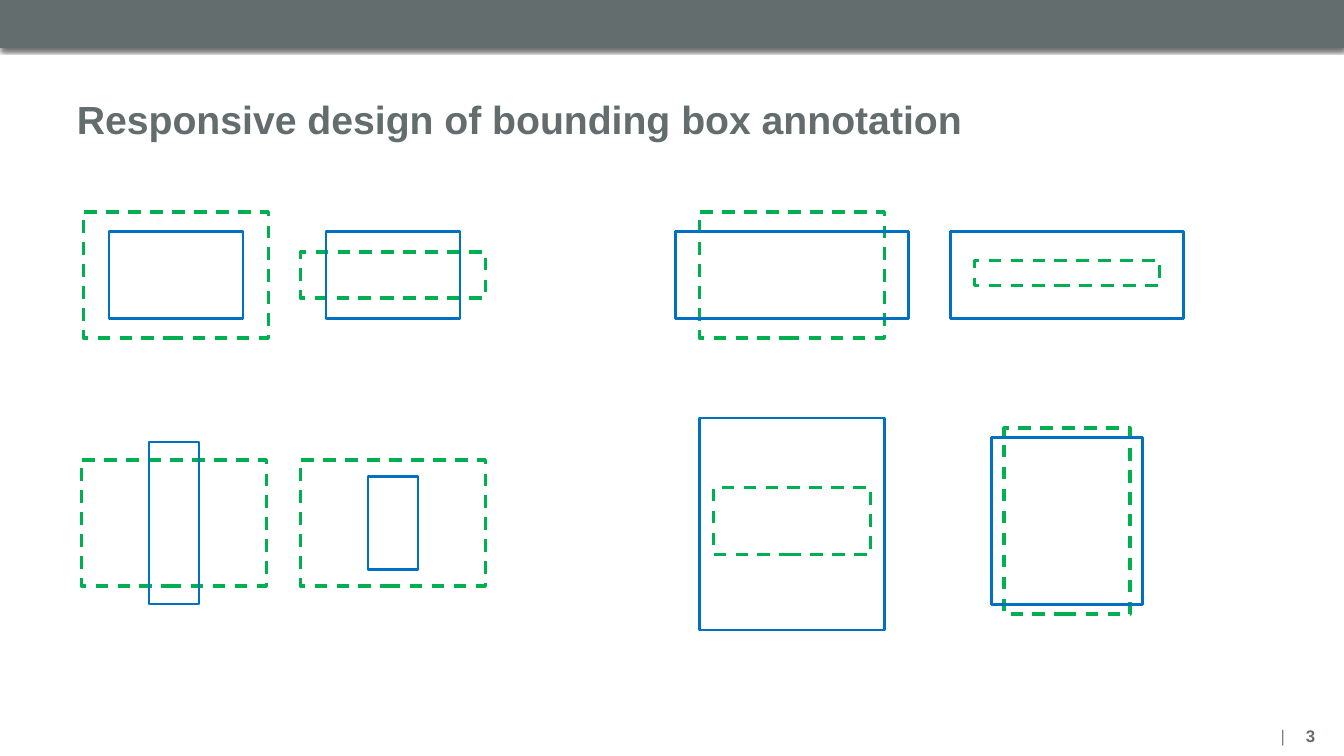
from lxml import etree
from pptx import Presentation, util as u
from pptx.dml.color import RGBColor
from pptx.enum import dml, shapes, text
from pptx.oxml import ns

SCALE = 914400 / 100.8
WIDTH, HEIGHT = 1344, 756
COLORS = {"slate": "636D6E", "grey": "808080", "green": "00B050",
          "blue": "0070C0", "black": "000000"}

# centre, guide size, annotation size, rise of the guide above the centre
PAIRS = [
    ((176, 275), (185, 126), (134, 87), 0),
    ((174, 523), (185, 126), (50, 162), 0),
    ((393, 523), (185, 126), (50, 93), 0),
    ((393, 275), (185, 46), (134, 87), 0),
    ((792, 275), (185, 126), (233, 87), 0),
    ((1067, 275), (185, 25), (233, 87), 2),
    ((792, 524), (157, 67), (185, 212), 3),
    ((1067, 521), (126, 186), (151, 167), 0),
]


def emu(*pixels):
    """Turn pixel lengths into EMU."""
    return [u.Emu(round(p * SCALE)) for p in pixels]


def rgb(name):
    """Look up a colour by name."""
    return RGBColor.from_string(COLORS[name])


def add_rectangle(slide, box):
    """Add a plain rectangle without shadow."""
    rectangle = slide.shapes.add_shape(shapes.MSO_SHAPE.RECTANGLE, *emu(*box))
    rectangle.shadow.inherit = False
    return rectangle


def add_header(slide, box):
    """Add the header band: two stacked bars with a soft shadow below."""
    for _ in range(2):
        bar = add_rectangle(slide, box)
        bar.fill.solid()
        bar.fill.fore_color.rgb = rgb("slate")
        bar.line.fill.background()
        effects = bar._element.spPr.find(ns.qn("a:effectLst"))
        shadow = etree.SubElement(effects, ns.qn("a:outerShdw"), blurRad=str(u.Pt(3.1)),
                                  dist=str(u.Pt(1.8)), dir="5400000", rotWithShape="0")
        tint = etree.SubElement(shadow, ns.qn("a:srgbClr"), val=COLORS["black"])
        etree.SubElement(tint, ns.qn("a:alpha"), val="35000")


def add_label(slide, box, words, size, color, bold=False,
              align=text.PP_ALIGN.LEFT, anchor=text.MSO_ANCHOR.TOP):
    """Add one line of text in a box and return its paragraph."""
    frame = slide.shapes.add_textbox(*emu(*box)).text_frame
    frame.word_wrap = True
    frame.vertical_anchor = anchor
    line = frame.paragraphs[0]
    line.text = words
    line.alignment = align
    line.font.name, line.font.size, line.font.bold = "Arial", u.Pt(size), bold
    line.font.color.rgb = rgb(color)
    return line


def add_footer(slide, box):
    """Add the page number in the box, with a divider to its left."""
    left, top, width, height = box
    add_label(slide, box, "3", 12, "slate", True,
              text.PP_ALIGN.CENTER, text.MSO_ANCHOR.MIDDLE)
    divider = add_label(slide, (left - 306, top + 6, 324, 30), "|", 12, "grey",
                        align=text.PP_ALIGN.RIGHT)
    divider.runs[0].font._element.set("spc", "100")


def add_outline(slide, center, size, color, weight, dashed=False):
    """Add an unfilled rectangle around a centre point."""
    (x, y), (width, height) = center, size
    outline = add_rectangle(slide, (x - width / 2, y - height / 2, width, height))
    outline.fill.background()
    outline.line.color.rgb = rgb(color)
    outline.line.width = u.Pt(weight)
    if dashed:
        outline.line.dash_style = dml.MSO_LINE.DASH


def add_pair(slide, center, guide, annotation, rise):
    """Add a dashed guide and the solid annotation box over it."""
    x, y = center
    add_outline(slide, (x, y - rise), guide, "green", 2.25, dashed=True)
    add_outline(slide, center, annotation, "blue", 2)


def build():
    """Build the slide and save it."""
    deck = Presentation()
    deck.slide_width, deck.slide_height = emu(WIDTH, HEIGHT)
    slide = deck.slides.add_slide(deck.slide_layouts[6])
    add_footer(slide, (1277, 715, 67, 42))
    add_header(slide, (0, 0, WIDTH, 48))
    add_label(slide, (67, 90, 1188, 87),
              "Responsive design of bounding box annotation", 28, "slate", True)
    for pair in PAIRS:
        add_pair(slide, *pair)
    deck.save("out.pptx")


build()
